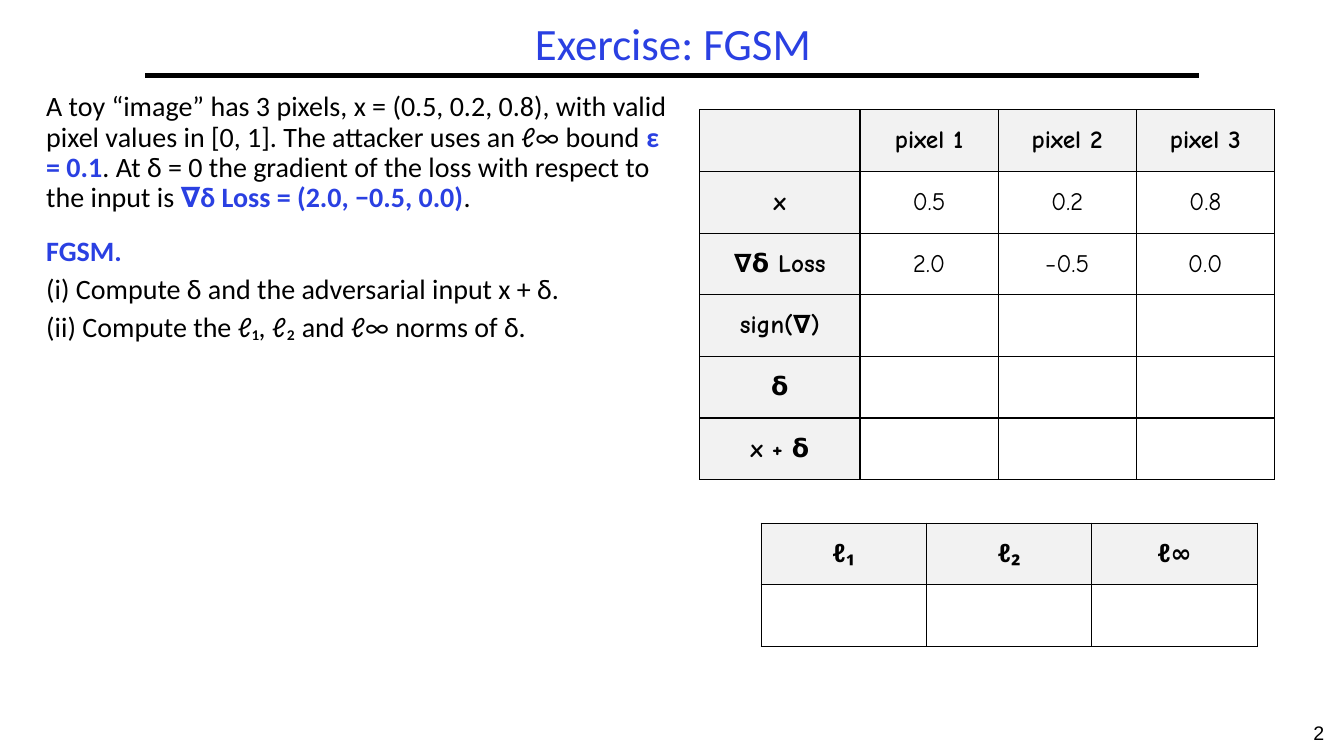
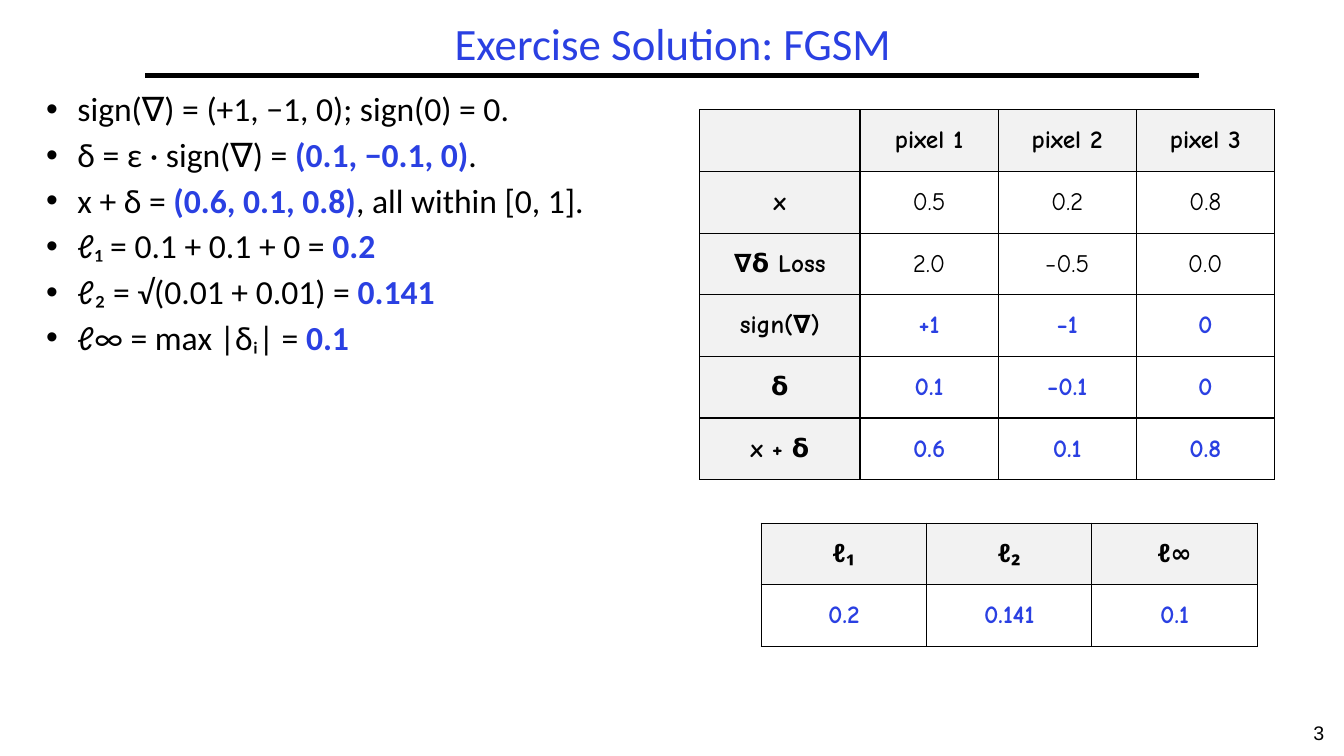
from lxml.etree import SubElement
from pptx import Presentation
from pptx.dml.color import RGBColor
from pptx.enum.shapes import MSO_CONNECTOR
from pptx.enum.text import MSO_ANCHOR, MSO_AUTO_SIZE, PP_ALIGN
from pptx.oxml.ns import qn
from pptx.util import Inches, Pt

COLORS = {"text": "000000", "accent": "2A40E2", "header": "F2F2F2", "cell": "FFFFFF"}
BODY_FONT, TABLE_FONT, NUMBER_FONT = "Calibri", "Comic Neue", "Arial"
LINE_SPACING = 0.9
SPACE_RATIO = 0.28  # space before a paragraph, as a share of its text size
TITLE_ONLY = 5

PIXEL_HEADER = ["", "pixel 1", "pixel 2", "pixel 3"]
GIVEN_ROWS = [["x", "0.5", "0.2", "0.8"], ["∇δ Loss", "2.0", "−0.5", "0.0"]]
ANSWER_LABELS = ["sign(∇)", "δ", "x + δ"]
NORM_HEADER = ["ℓ₁", "ℓ₂", "ℓ∞"]

# Text between ** marks is bold and in the accent colour.
QUESTION = [
    "A toy “image” has 3 pixels, x = (0.5, 0.2, 0.8), with valid pixel values in [0, 1]. "
    "The attacker uses an ℓ∞ bound **ε = 0.1**. At δ = 0 the gradient of the loss with "
    "respect to the input is **∇δ Loss = (2.0, −0.5, 0.0)**.",
    "**FGSM.**",
    "(i) Compute δ and the adversarial input x + δ.",
    "(ii) Compute the ℓ₁, ℓ₂ and ℓ∞ norms of δ.",
]
SOLUTION = [
    "sign(∇) = (+1, −1, 0); sign(0) = 0.",
    "δ = ε · sign(∇) = **(0.1, −0.1, 0)**.",
    "x + δ = **(0.6, 0.1, 0.8)**, all within [0, 1].",
    "ℓ₁ = 0.1 + 0.1 + 0 = **0.2**",
    "ℓ₂ = √(0.01 + 0.01) = **0.141**",
    "ℓ∞ = max |δᵢ| = **0.1**",
]
PIXEL_ANSWERS = [["+1", "−1", "0"], ["0.1", "−0.1", "0"], ["0.6", "0.1", "0.8"]]
NORM_ANSWERS = ["0.2", "0.141", "0.1"]


def rgb(name):
    return RGBColor.from_string(COLORS[name])


def set_font(font, name, size, color="text", bold=False):
    font.name, font.size, font.bold = name, Pt(size), bold
    font.color.rgb = rgb(color)


def add_title(slide, text):
    title = slide.shapes.title
    title.left, title.top = Inches(1.44), Inches(0.17)
    title.width, title.height = Inches(10.47), Inches(0.58)
    frame = title.text_frame
    frame.text = text
    frame.auto_size = MSO_AUTO_SIZE.NONE
    frame.vertical_anchor = MSO_ANCHOR.MIDDLE
    heading = frame.paragraphs[0]
    heading.alignment = PP_ALIGN.CENTER
    heading.line_spacing = LINE_SPACING
    set_font(heading.font, BODY_FONT, 32, "accent")


def add_title_rule(slide):
    rule = slide.shapes.add_connector(
        MSO_CONNECTOR.STRAIGHT, Inches(1.44), Inches(0.75), Inches(11.89), Inches(0.75))
    rule.line.color.rgb = rgb("text")
    rule.line.width = Pt(3)
    SubElement(rule._element.spPr, qn("a:effectLst"))


def add_page_number(slide, number):
    box = slide.shapes.add_textbox(Inches(12.83), Inches(7.1), Inches(0.5), Inches(0.4))
    box.text_frame.word_wrap = True
    page = box.text_frame.paragraphs[0]
    page.text = str(number)
    page.alignment = PP_ALIGN.CENTER
    set_font(page.font, NUMBER_FONT, 14)


def add_bullet(paragraph):
    properties = paragraph._p.get_or_add_pPr()
    properties.set("marL", str(Inches(0.31)))
    properties.set("indent", str(-Inches(0.31)))
    SubElement(properties, qn("a:buFont")).set("typeface", "Arial")
    SubElement(properties, qn("a:buChar")).set("char", "•")


def add_body(slide, lines, size, bulleted=False, gaps=None):
    """Write the left column; gaps maps a line's index to its own space before, in points."""
    box = slide.shapes.add_textbox(Inches(0.36), Inches(0.87), Inches(6.45), Inches(6.01))
    frame = box.text_frame
    frame.word_wrap = True
    for index, line in enumerate(lines):
        paragraph = frame.add_paragraph() if index else frame.paragraphs[0]
        if bulleted:
            add_bullet(paragraph)
        paragraph.line_spacing = LINE_SPACING
        if index:
            paragraph.space_before = Pt((gaps or {}).get(index, size * SPACE_RATIO))
        set_font(paragraph.font, BODY_FONT, size)
        for part, text in enumerate(line.split("**")):
            if not text:
                continue
            run = paragraph.add_run()
            run.text = text
            if part % 2:
                run.font.bold = True
                run.font.color.rgb = rgb("accent")


def add_borders(cell):
    properties = cell._tc.get_or_add_tcPr()
    for side in ("a:lnL", "a:lnR", "a:lnT", "a:lnB"):
        border = SubElement(properties, qn(side), w=str(Pt(1)))
        fill = SubElement(border, qn("a:solidFill"))
        SubElement(fill, qn("a:srgbClr"), val=COLORS["text"])


def format_cell(cell, text, fill, color, bold):
    add_borders(cell)
    cell.fill.solid()
    cell.fill.fore_color.rgb = rgb(fill)
    cell.vertical_anchor = MSO_ANCHOR.MIDDLE
    cell.margin_left = cell.margin_right = Inches(0.07)
    cell.margin_top = cell.margin_bottom = Inches(0.03)
    cell.text = text
    value = cell.text_frame.paragraphs[0]
    value.alignment = PP_ALIGN.CENTER
    set_font(value.font, TABLE_FONT, 18, color, bold)


def add_grid(slide, left, top, height, widths, rows, label_columns, answers_from):
    """Draw a table whose rows from answers_from on hold bold accent answers."""
    grid = slide.shapes.add_table(
        len(rows), len(widths), Inches(left), Inches(top),
        Inches(sum(widths)), Inches(height)).table
    grid.first_row = grid.horz_banding = False
    for column, width in zip(grid.columns, widths):
        column.width = Inches(width)
    for r, row in enumerate(rows):
        for c, text in enumerate(row):
            is_label = r == 0 or c < label_columns
            is_answer = not is_label and r >= answers_from
            format_cell(grid.cell(r, c), text,
                        fill="header" if is_label else "cell",
                        color="accent" if is_answer else "text",
                        bold=is_label or is_answer)


def add_exercise_tables(slide, pixel_answers, norm_answers):
    answer_rows = [[label, *values] for label, values in zip(ANSWER_LABELS, pixel_answers)]
    add_grid(slide, 6.94, 1.09, 3.67, [1.59] + [1.37] * 3,
             [PIXEL_HEADER, *GIVEN_ROWS, *answer_rows], label_columns=1, answers_from=3)
    add_grid(slide, 7.55, 5.19, 1.22, [1.64] * 3,
             [NORM_HEADER, norm_answers], label_columns=0, answers_from=1)


def add_exercise_slide(prs, number, title):
    slide = prs.slides.add_slide(prs.slide_layouts[TITLE_ONLY])
    add_title_rule(slide)
    add_page_number(slide, number)
    add_title(slide, title)
    return slide


def main():
    prs = Presentation()
    prs.slide_width, prs.slide_height = Inches(13.33), Inches(7.5)

    exercise = add_exercise_slide(prs, 2, "Exercise: FGSM")
    add_body(exercise, QUESTION, 20, gaps={1: 17})
    add_exercise_tables(exercise, [[""] * 3] * 3, [""] * 3)

    solution = add_exercise_slide(prs, 3, "Exercise Solution: FGSM")
    add_body(solution, SOLUTION, 24, bulleted=True)
    add_exercise_tables(solution, PIXEL_ANSWERS, NORM_ANSWERS)

    prs.save("out.pptx")


if __name__ == "__main__":
    main()
